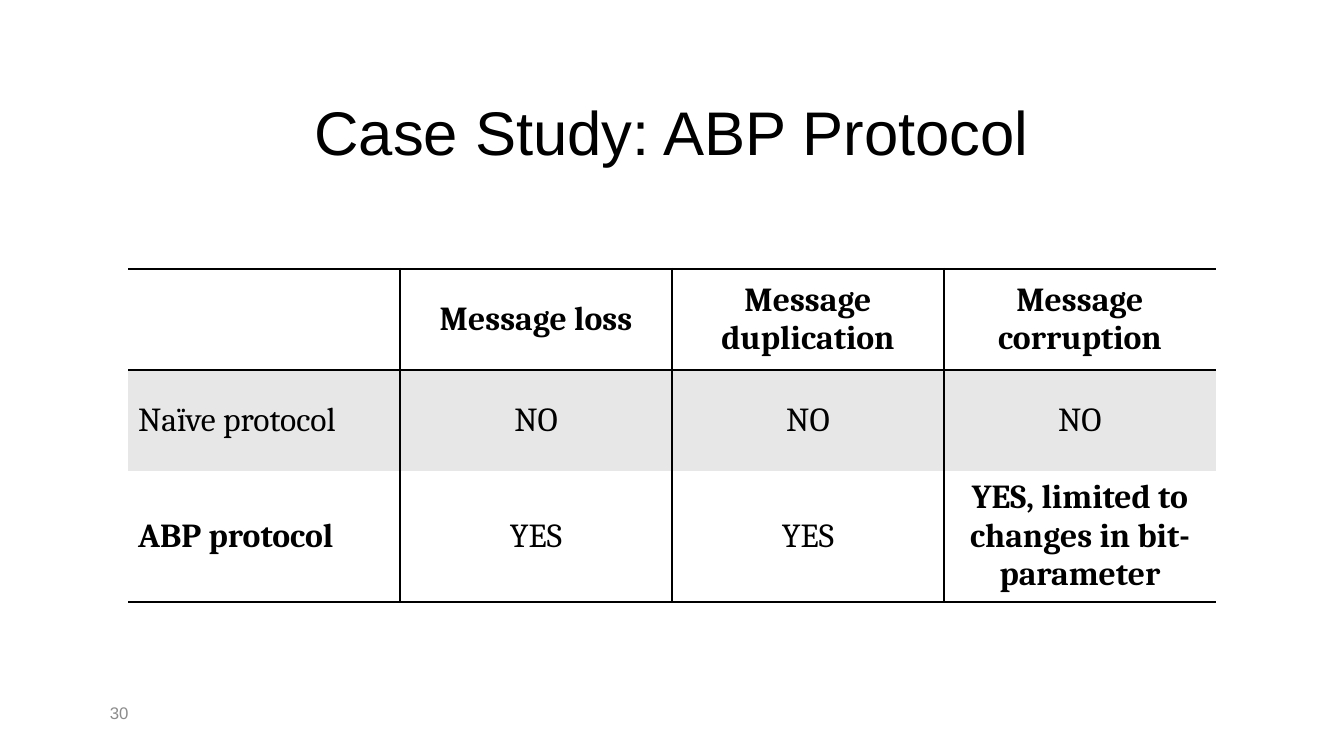
"""Build the ABP protocol case study slide with its comparison table."""
import lxml.etree
import pptx
import pptx.dml.color
import pptx.enum.text
import pptx.oxml.ns
import pptx.util

Inches = pptx.util.Inches
Pt = pptx.util.Pt
RGBColor = pptx.dml.color.RGBColor
PP_ALIGN = pptx.enum.text.PP_ALIGN
MIDDLE = pptx.enum.text.MSO_ANCHOR.MIDDLE
qn = pptx.oxml.ns.qn

BLACK = RGBColor(0x00, 0x00, 0x00)
WHITE = RGBColor(0xFF, 0xFF, 0xFF)
BAND = RGBColor(0xE7, 0xE7, 0xE7)
GRAY = RGBColor(0x8C, 0x8C, 0x8C)


def write(tf, text, align, size, name, color, bold=False):
    tf.word_wrap = True
    p = tf.paragraphs[0]
    p.alignment = align
    r = p.add_run()
    r.text = text
    font = {"size": Pt(size), "name": name, "bold": bold}
    for key, value in font.items():
        setattr(r.font, key, value)
    r.font.color.rgb = color


def set_borders(cell, widths):
    tc_pr = cell._tc.get_or_add_tcPr()
    for i, (side, width) in enumerate(widths.items()):
        ln = lxml.etree.Element(qn(f"a:ln{side}"), w=str(Pt(width)))
        if width:
            fill = lxml.etree.SubElement(ln, qn("a:solidFill"))
            lxml.etree.SubElement(fill, qn("a:srgbClr"), val=str(BLACK))
        else:
            lxml.etree.SubElement(ln, qn("a:noFill"))
        tc_pr.insert(i, ln)


prs = pptx.Presentation()
prs.slide_width = Inches(13.33)
prs.slide_height = Inches(7.5)
s = prs.slides.add_slide(prs.slide_layouts[5])

title = s.shapes.title
box = {"left": 1, "top": 0.67, "width": 11.33, "height": 1.25}
for key, value in box.items():
    setattr(title, key, Inches(value))
title.text_frame.vertical_anchor = MIDDLE
write(title.text_frame, "Case Study: ABP Protocol", PP_ALIGN.CENTER, 44, "Arial", BLACK)

number = s.shapes.add_textbox(Inches(0.99), Inches(6.87), Inches(0.92), Inches(0.4))
number.text_frame.vertical_anchor = MIDDLE
write(number.text_frame, "30", PP_ALIGN.LEFT, 12, "Arial", GRAY)

rows = [
    ["", "Message loss", "Message duplication", "Message corruption"],
    ["Naïve protocol", "NO", "NO", "NO"],
    ["ABP protocol", "YES", "YES", "YES, limited to changes in bit-parameter"],
]
bold_cells = {(0, 1), (0, 2), (0, 3), (2, 0), (2, 3)}
row_lines = [2, 2, 0, 2]
col_lines = [0, 1, 1, 1, 0]

table = s.shapes.add_table(
    len(rows), len(rows[0]), Inches(1.27), Inches(2.67), Inches(10.79), Inches(3)
).table
for i, row in enumerate(rows):
    for j, text in enumerate(row):
        cell = table.cell(i, j)
        cell.vertical_anchor = MIDDLE
        cell.fill.solid()
        cell.fill.fore_color.rgb = BAND if i == 1 else WHITE
        set_borders(cell, {
            "L": col_lines[j], "R": col_lines[j + 1],
            "T": row_lines[i], "B": row_lines[i + 1],
        })
        if text:
            align = PP_ALIGN.CENTER if j else PP_ALIGN.LEFT
            write(cell.text_frame, text, align, 24, "Cambria", BLACK, (i, j) in bold_cells)

prs.save("out.pptx")
